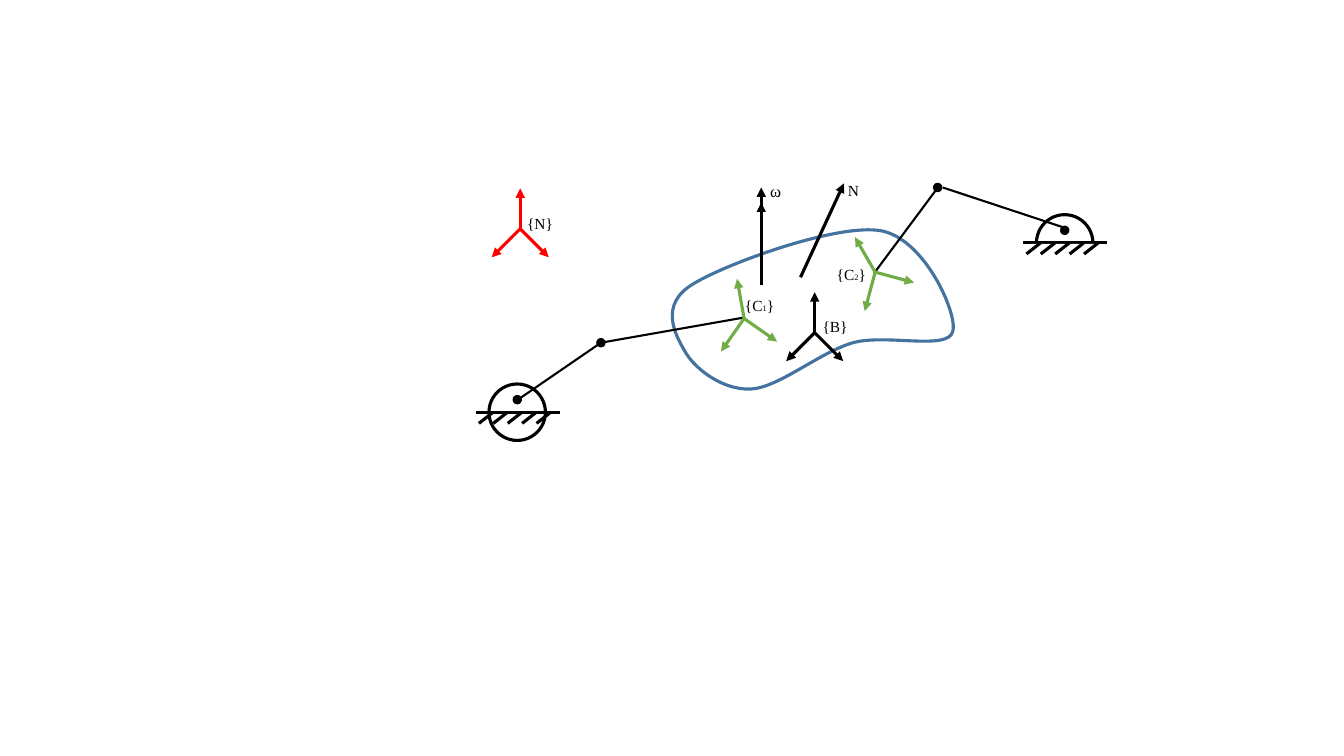
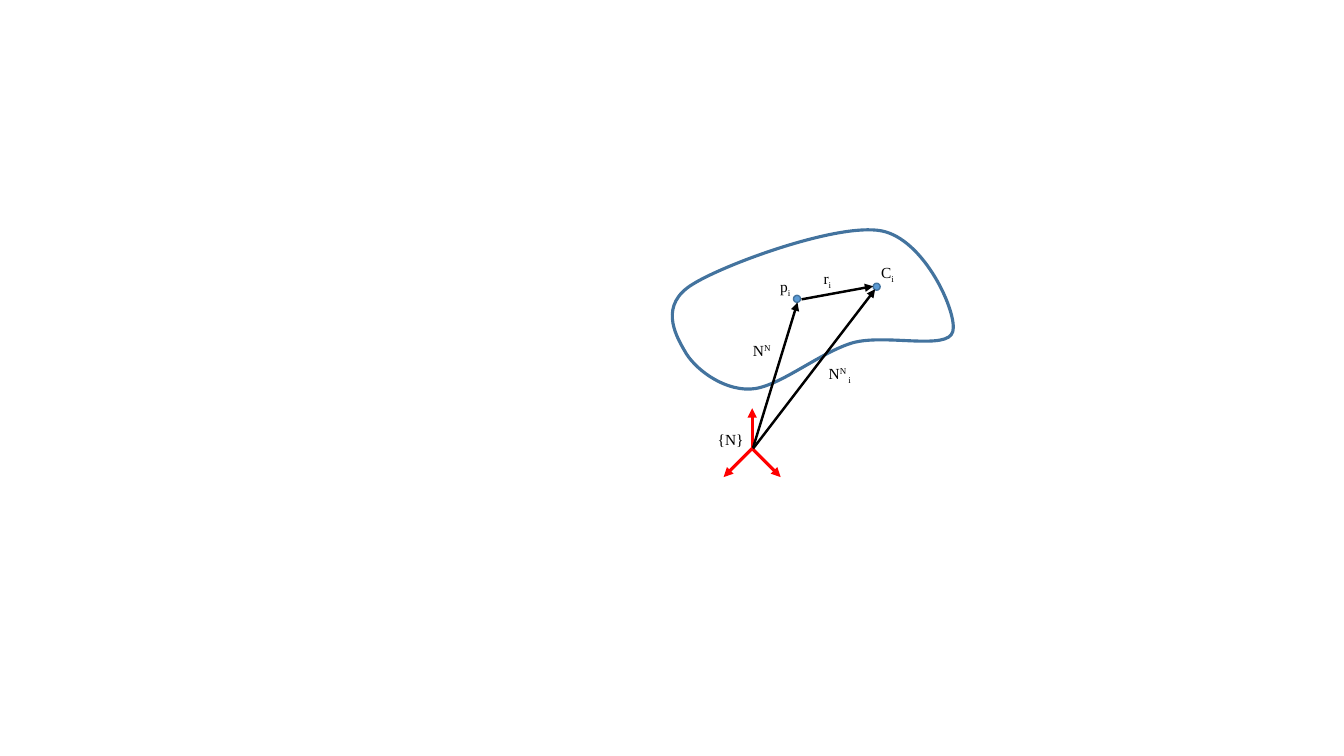
from dataclasses import dataclass
from math import cos, radians, sin

from lxml import etree
from pptx import Presentation
from pptx import util as u
from pptx.dml.color import RGBColor
from pptx.enum import shapes, text
from pptx.oxml import ns


@dataclass(frozen=True)
class Theme:
    ink: str = "000000"
    paper: str = "FFFFFF"
    outline: str = "43739E"
    point: str = "5B9BD5"
    world: str = "FF0000"
    contact: str = "70AD47"
    font: str = "Times New Roman"
    label_size: float = 11
    omega_size: float = 12
    index_size: float = 6
    bold_line: float = 2.25
    vector_line: float = 1.75
    rod_line: float = 1.5
    dot_line: float = 1


COLUMNS, ROWS = 1333, 750
BASELINES = {"sub": -25000, "super": 30000}
BODY_BOX = (667, 228, 279, 158)
BODY_START = (687, 282)
BODY_CURVES = [
    [(719, 262), (831, 221), (874, 229)],
    [(917, 237), (950, 311), (945, 329)],
    [(940, 348), (879, 331), (846, 340)],
    [(812, 350), (772, 385), (744, 386)],
    [(716, 387), (688, 365), (679, 348)],
    [(669, 331), (654, 302), BODY_START],
]


class Sketch:
    def __init__(self, theme):
        self.theme = theme
        self.deck = Presentation()
        self.deck.slide_width = u.Inches(13.33)
        self.deck.slide_height = u.Inches(7.5)
        self.slide = None

    def new_slide(self):
        self.slide = self.deck.slides.add_slide(self.deck.slide_layouts[6])

    def x(self, columns):
        return round(self.deck.slide_width * columns / COLUMNS)

    def y(self, rows):
        return round(self.deck.slide_height * rows / ROWS)

    def box(self, left, top, width, height):
        return self.x(left), self.y(top), self.x(width), self.y(height)

    def style(self, shape, fill=None, line=None, weight=1):
        shape.shadow.inherit = False
        if fill:
            shape.fill.solid()
            shape.fill.fore_color.rgb = RGBColor.from_string(fill)
        else:
            shape.fill.background()
        if line:
            shape.line.color.rgb = RGBColor.from_string(line)
            shape.line.width = u.Pt(weight)
        else:
            shape.line.fill.background()

    def line(self, start, end, color=None, weight=None, arrow=False):
        stroke = self.slide.shapes.add_connector(
            shapes.MSO_CONNECTOR.STRAIGHT,
            self.x(start[0]), self.y(start[1]), self.x(end[0]), self.y(end[1]))
        stroke.line.color.rgb = RGBColor.from_string(color or self.theme.ink)
        stroke.line.width = u.Pt(weight or self.theme.bold_line)
        properties = stroke.line._get_or_add_ln()
        if arrow:
            etree.SubElement(properties, ns.qn("a:tailEnd"), type="triangle")
        etree.SubElement(properties.getparent(), ns.qn("a:effectLst"))

    def arrow(self, start, end, color=None, weight=None):
        self.line(start, end, color, weight, arrow=True)

    def rod(self, start, end):
        self.line(start, end, weight=self.theme.rod_line)

    def preset(self, kind, box, **look):
        shape = self.slide.shapes.add_shape(kind, *self.box(*box))
        self.style(shape, **look)

    def dot(self, left, top, size=8, fill=None, line=None):
        ink = self.theme.ink
        self.preset(shapes.MSO_SHAPE.OVAL, (left, top, size, size),
                    fill=fill or ink, line=line or ink, weight=self.theme.dot_line)

    def label(self, box, *parts, size=None):
        frame = self.slide.shapes.add_textbox(*self.box(*box)).text_frame
        frame.word_wrap = True
        frame.auto_size = text.MSO_AUTO_SIZE.SHAPE_TO_FIT_TEXT
        paragraph = frame.paragraphs[0]
        paragraph.font.name = self.theme.font
        paragraph.font.size = u.Pt(size or self.theme.label_size)
        paragraph.font.color.rgb = RGBColor.from_string(self.theme.ink)
        for wording, role in parts:
            run = paragraph.add_run()
            run.text = wording
            if role == "index":
                run.font.size = u.Pt(self.theme.index_size)
            elif role in BASELINES:
                run._r.get_or_add_rPr().set("baseline", str(BASELINES[role]))

    def triad(self, origin, color, turn=0):
        for angle in (-90, 45, 135):
            heading = radians(angle + turn)
            tip = (origin[0] + 40 * cos(heading), origin[1] + 40 * sin(heading))
            self.arrow(origin, tip, color)

    def support(self, left, ground, masked=False):
        self.line((left, ground), (left + 83, ground))
        self.preset(shapes.MSO_SHAPE.OVAL, (left + 13, ground - 28, 56, 56),
                    line=self.theme.ink, weight=self.theme.bold_line)
        if masked:
            self.preset(shapes.MSO_SHAPE.RECTANGLE, (left + 7, ground + 1, 68, 30),
                        fill=self.theme.paper)
        for hatch in range(5):
            foot = left + 3 + 14.3 * hatch
            self.line((foot, ground + 11), (foot + 14, ground))
        self.dot(left + 37, ground - 16.5)

    def body(self):
        builder = self.slide.shapes.build_freeform(
            self.x(BODY_START[0]), self.y(BODY_START[1]))
        builder.add_line_segments(
            [(self.x(curve[-1][0]), self.y(curve[-1][1])) for curve in BODY_CURVES])
        outline = builder.convert_to_shape()
        outline.left, outline.top, outline.width, outline.height = self.box(*BODY_BOX)
        self.style(outline, line=self.theme.outline, weight=self.theme.bold_line)
        contour = next(outline._element.iter(ns.qn("a:path")))
        contour.set("w", str(BODY_BOX[2]))
        contour.set("h", str(BODY_BOX[3]))
        for segment in list(contour):
            contour.remove(segment)
        for tag, points in [("a:moveTo", [BODY_START])] + [
                ("a:cubicBezTo", curve) for curve in BODY_CURVES]:
            segment = etree.SubElement(contour, ns.qn(tag))
            for x, y in points:
                etree.SubElement(segment, ns.qn("a:pt"),
                                 x=str(x - BODY_BOX[0]), y=str(y - BODY_BOX[1]))
        etree.SubElement(contour, ns.qn("a:close"))


def draw_grasp(sketch):
    theme = sketch.theme
    sketch.new_slide()
    sketch.body()
    sketch.support(472, 409)
    sketch.rod((513, 397), (596, 340))
    sketch.dot(592, 336)
    sketch.rod((596, 340), (738, 315))
    sketch.support(1015, 241, masked=True)
    sketch.rod((1059, 227), (935, 186))
    sketch.dot(926, 182)
    sketch.rod((928, 189), (867, 271))
    sketch.triad((516, 227), theme.world)
    sketch.label((513, 207, 53, 29), ("{N}", None))
    sketch.triad((738, 316), theme.contact, turn=-10)
    sketch.triad((868, 270), theme.contact, turn=-30)
    for index, left, top in (("1", 729, 289), ("2", 820, 258)):
        sketch.label((left, top, 50, 29), ("{C", None), (index, "index"), ("}", None))
    sketch.triad((808, 330), theme.ink)
    sketch.label((806, 310, 53, 29), ("{B}", None))
    sketch.arrow((794, 275), (837, 182))
    for tip in (186, 201):
        sketch.arrow((755, 283), (755, tip))
    sketch.label((831, 175, 29, 29), ("N", None))
    sketch.label((754, 174, 34, 30), ("ω", None), size=theme.omega_size)


def draw_contact(sketch):
    theme = sketch.theme
    sketch.new_slide()
    sketch.body()
    sketch.triad((746, 445), theme.world)
    sketch.label((702, 422, 53, 29), ("{N}", None))
    for left, top in ((787, 293), (866, 281)):
        sketch.dot(left, top, size=7, fill=theme.point, line=theme.outline)
    for start, end in (((747, 444), (791, 300)),
                       ((747, 445), (868, 287)),
                       ((795, 297), (866, 284))):
        sketch.arrow(start, end, weight=theme.vector_line)
    for symbol, left, top, width in (("r", 807, 262, 30),
                                     ("p", 764, 270, 34),
                                     ("C", 864, 256, 34)):
        sketch.label((left, top, width, 29), (symbol, None), ("i", "sub"))
    sketch.label((737, 333, 53, 29), ("N", None), ("N", "super"))
    sketch.label((812, 356, 53, 29), ("N", None), ("N ", "super"), ("i", "sub"))


def main():
    sketch = Sketch(Theme())
    draw_grasp(sketch)
    draw_contact(sketch)
    sketch.deck.save("out.pptx")


if __name__ == "__main__":
    main()
